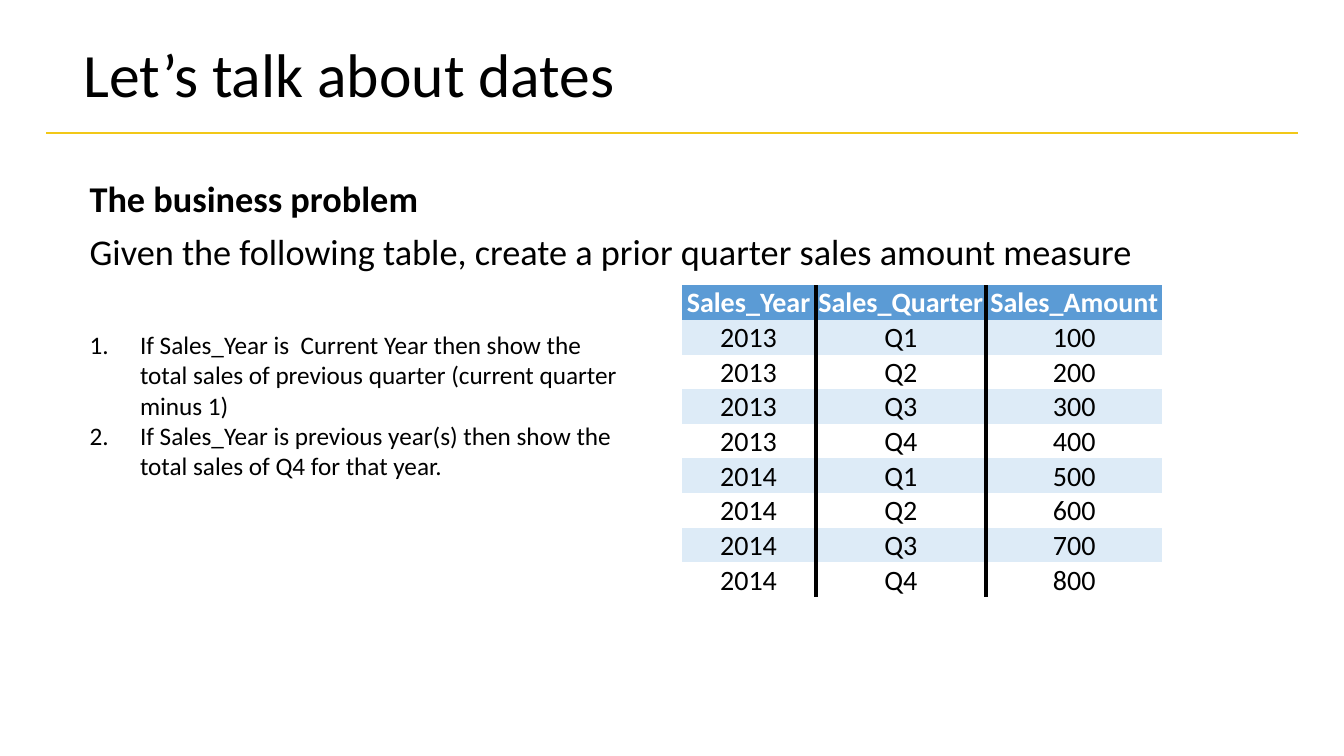
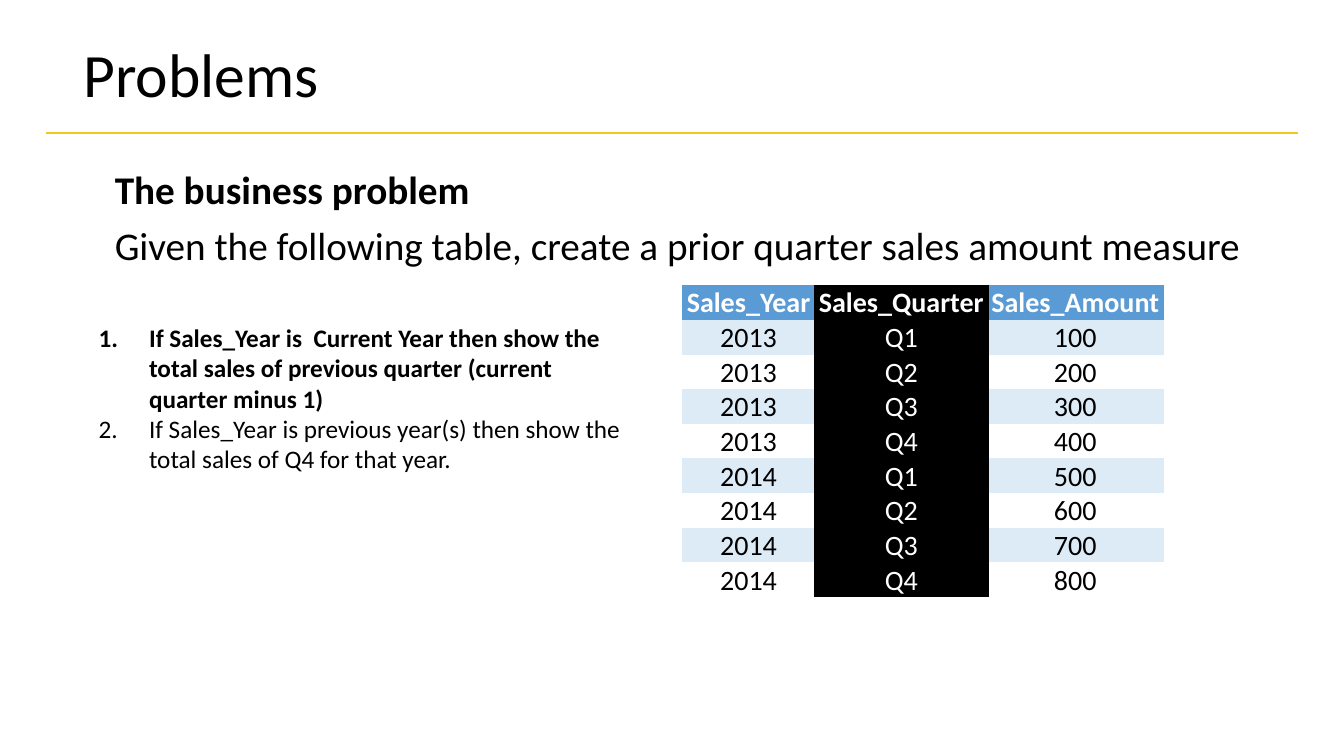
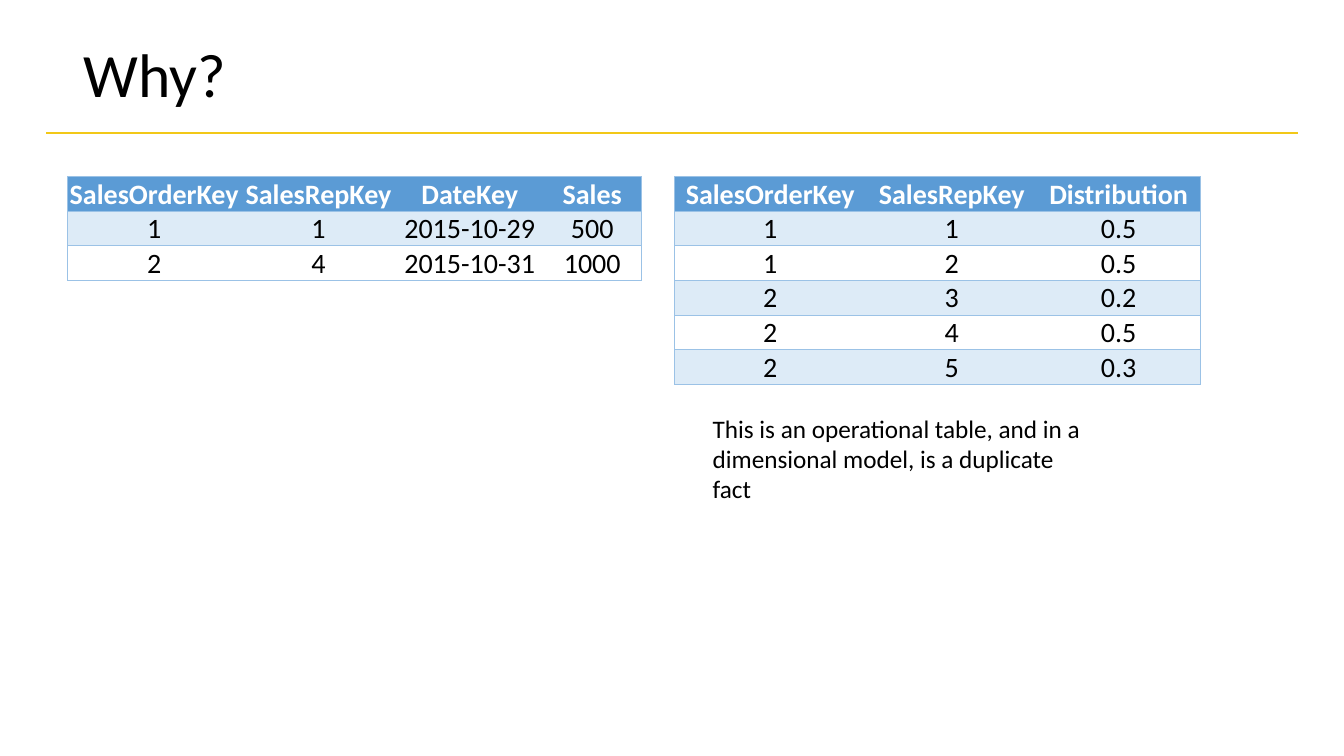
from dataclasses import dataclass

from lxml import etree
from pptx import Presentation
from pptx.dml.color import RGBColor
from pptx.enum import shapes, text
from pptx.oxml import ns
from pptx.util import Inches, Pt


@dataclass(frozen=True)
class Theme:
    font: str = "Calibri"
    ink: str = "000000"
    white: str = "FFFFFF"
    accent: str = "F2C818"
    header: str = "5B9BD5"
    band: str = "DDEBF7"
    grid: str = "9BC2E6"
    title_size: float = 44
    table_size: float = 20
    note_size: float = 18


THEME = Theme()
PLAIN_TABLE_STYLE = "{2D5ABB26-0587-4C30-8999-92F81FD0307C}"
ROW_HEIGHT = 0.34

# Content
PROBLEM = [
    "The business problem",
    "Given the following table, create a prior quarter sales amount measure",
]
RULES = [
    "If Sales_Year is  Current Year then show the total sales of previous quarter "
    "(current quarter minus 1)",
    "If Sales_Year is previous year(s) then show the total sales of Q4 for that year.",
]
QUARTERS = [(year, f"Q{quarter}") for year in (2013, 2014) for quarter in range(1, 5)]
SALES = [("Sales_Year", "Sales_Quarter", "Sales_Amount")] + [
    (year, quarter, 100 * number) for number, (year, quarter) in enumerate(QUARTERS, 1)
]
ORDERS = [
    ("SalesOrderKey", "SalesRepKey", "DateKey", "Sales"),
    (1, 1, "2015-10-29", 500),
    (2, 4, "2015-10-31", 1000),
]
DISTRIBUTION = [
    ("SalesOrderKey", "SalesRepKey", "Distribution"),
    (1, 1, 0.5),
    (1, 2, 0.5),
    (2, 3, 0.2),
    (2, 4, 0.5),
    (2, 5, 0.3),
]
NOTE = "This is an operational table, and in a dimensional model, is a duplicate fact"

# One entry per slide that states the business problem
PROBLEM_PAGES = [
    dict(title="Let’s talk about dates", intro_at=(0.67, 1.75, 11.11, 1.08), intro_size=25.9,
         rules_at=(0.67, 3.22, 5.61, 1.92), bold_rules=(), columns=(1.33, 1.69, 1.75),
         dark_column=None),
    dict(title="Problems", intro_at=(0.92, 1.64, 11.5, 4.76), intro_size=28,
         rules_at=(0.76, 3.15, 5.61, 1.92), bold_rules=(0,), columns=(1.33, 1.7, 1.75),
         dark_column=1),
]


# Text
def style(para, size, color=THEME.ink, bold=False):
    for span in para.runs:
        span.font.name = THEME.font
        span.font.size = Pt(size)
        span.font.bold = bold
        span.font.color.rgb = RGBColor.from_string(color)


def add_text(page, at, lines, size, bold=(), spacing=None, before=0, indent=None,
             numbered=False, anchor=text.MSO_ANCHOR.TOP):
    box = page.shapes.add_textbox(*map(Inches, at))
    frame = box.text_frame
    frame.word_wrap = True
    frame.vertical_anchor = anchor
    frame.text = "\n".join(lines)
    for index, para in enumerate(frame.paragraphs):
        para.line_spacing = spacing
        if index and before:
            para.space_before = Pt(before)
        if indent:
            left, first = indent
            props = para._p.get_or_add_pPr()
            props.set("marL", str(Inches(left)))
            props.set("indent", str(Inches(first)))
            if numbered:
                etree.SubElement(props, ns.qn("a:buFont"), typeface="+mj-lt")
                etree.SubElement(props, ns.qn("a:buAutoNum"), type="arabicPeriod")
        style(para, size, bold=index in bold)


# Tables
def add_border(cell, sides, color, width):
    props = cell._tc.get_or_add_tcPr()
    for position, side in enumerate(side for side in "LRTB" if side in sides):
        line = etree.Element(ns.qn(f"a:ln{side}"), w=str(Pt(width)))
        fill = etree.SubElement(line, ns.qn("a:solidFill"))
        etree.SubElement(fill, ns.qn("a:srgbClr"), val=color)
        props.insert(position, line)


def column_rules(column, last):
    return ("L" if column else "") + ("R" if column < last else "")


def row_rules(column, last):
    return "TB" + ("" if column else "L") + ("R" if column == last else "")


def add_grid(page, left, top, columns, rows, sides, line, dark_column=None):
    size = Inches(sum(columns)), Inches(ROW_HEIGHT * len(rows))
    table = page.shapes.add_table(len(rows), len(columns), Inches(left), Inches(top), *size).table
    table._tbl.tblPr.find(ns.qn("a:tableStyleId")).text = PLAIN_TABLE_STYLE
    for column, width in zip(table.columns, columns):
        column.width = Inches(width)
    for r, row in enumerate(rows):
        for c, value in enumerate(row):
            cell = table.cell(r, c)
            cell.margin_left = cell.margin_right = cell.margin_top = Inches(0.01)
            cell.margin_bottom = 0
            cell.vertical_anchor = text.MSO_ANCHOR.BOTTOM
            dark = c == dark_column
            fill = THEME.ink if dark else THEME.header if r == 0 else THEME.band if r % 2 else None
            if fill:
                cell.fill.solid()
                cell.fill.fore_color.rgb = RGBColor.from_string(fill)
            else:
                cell.fill.background()
            add_border(cell, sides(c, len(columns) - 1), *line)
            cell.text = str(value)
            para = cell.text_frame.paragraphs[0]
            para.alignment = text.PP_ALIGN.CENTER
            style(para, THEME.table_size, THEME.white if dark or r == 0 else THEME.ink, r == 0)


# Slides
def add_page(deck, title):
    page = deck.slides.add_slide(deck.slide_layouts[6])
    y = Inches(1.32)
    rule = page.shapes.add_connector(
        shapes.MSO_CONNECTOR.STRAIGHT, Inches(0.46), y, Inches(12.87), y)
    rule.line.color.rgb = RGBColor.from_string(THEME.accent)
    rule.line.width = Pt(2)
    etree.SubElement(rule._element.spPr, ns.qn("a:effectLst"))
    add_text(page, (0.73, 0.22, 11.89, 1.1), [title], THEME.title_size, spacing=0.9,
             anchor=text.MSO_ANCHOR.MIDDLE)
    return page


def add_problem_page(deck, title, intro_at, intro_size, rules_at, bold_rules, columns,
                     dark_column):
    page = add_page(deck, title)
    add_text(page, intro_at, PROBLEM, intro_size, bold=(0,), spacing=0.9, before=10,
             indent=(0.12, 0))
    add_grid(page, 6.76, 2.83, columns, SALES, column_rules, (THEME.ink, 3), dark_column)
    add_text(page, rules_at, RULES, THEME.note_size, bold=bold_rules, indent=(0.62, -0.5),
             numbered=True)


def add_reason_page(deck):
    page = add_page(deck, "Why?")
    line = (THEME.grid, 0.5)
    add_grid(page, 0.67, 1.75, (1.72, 1.54, 1.46, 0.97), ORDERS, row_rules, line)
    add_grid(page, 6.69, 1.75, (1.9, 1.7, 1.61), DISTRIBUTION, row_rules, line)
    add_text(page, (6.97, 4.05, 3.92, 1.01), [NOTE], THEME.note_size)


def main():
    deck = Presentation()
    deck.slide_width, deck.slide_height = Inches(13.33), Inches(7.5)
    for content in PROBLEM_PAGES:
        add_problem_page(deck, **content)
    add_reason_page(deck)
    deck.save("out.pptx")


if __name__ == "__main__":
    main()
